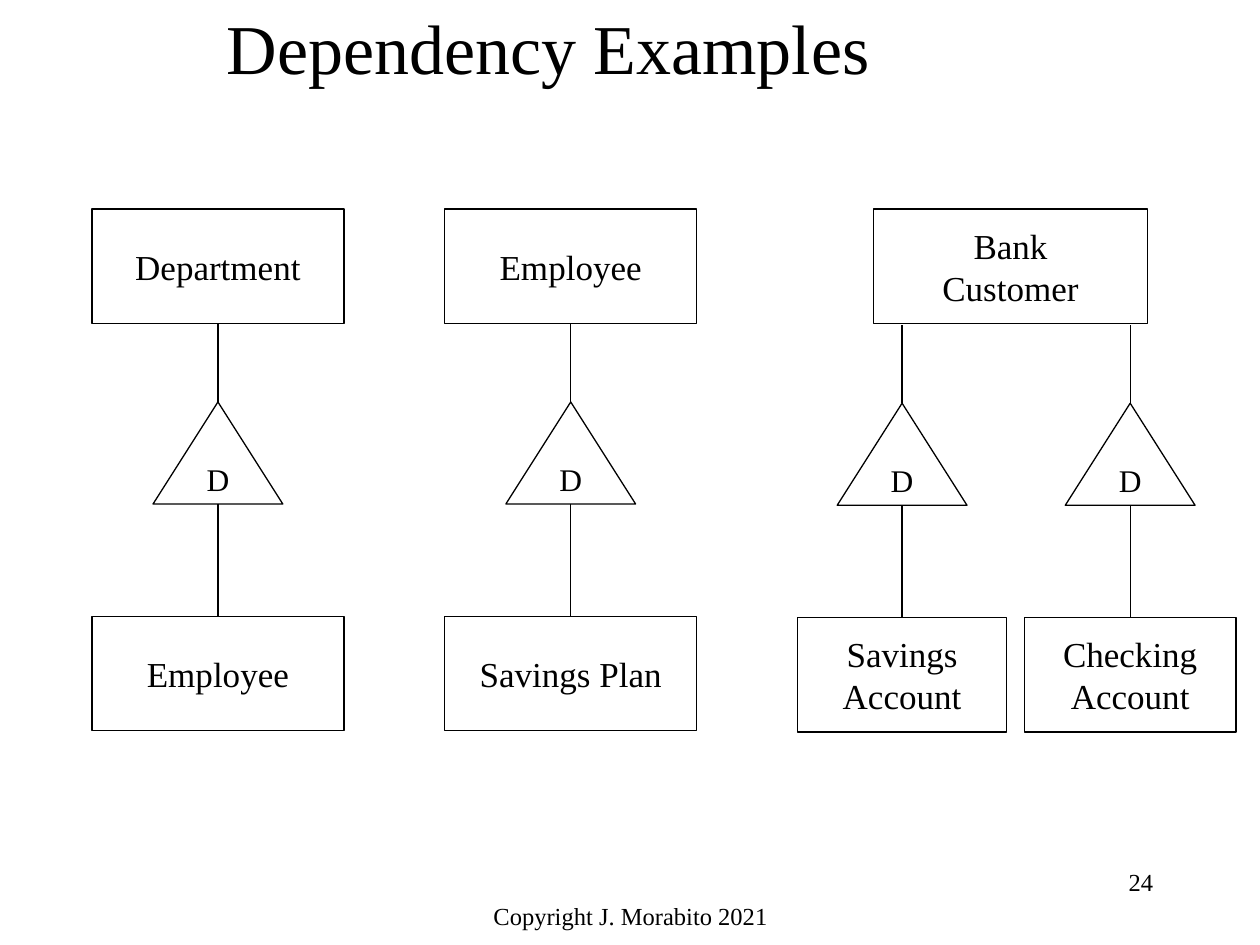
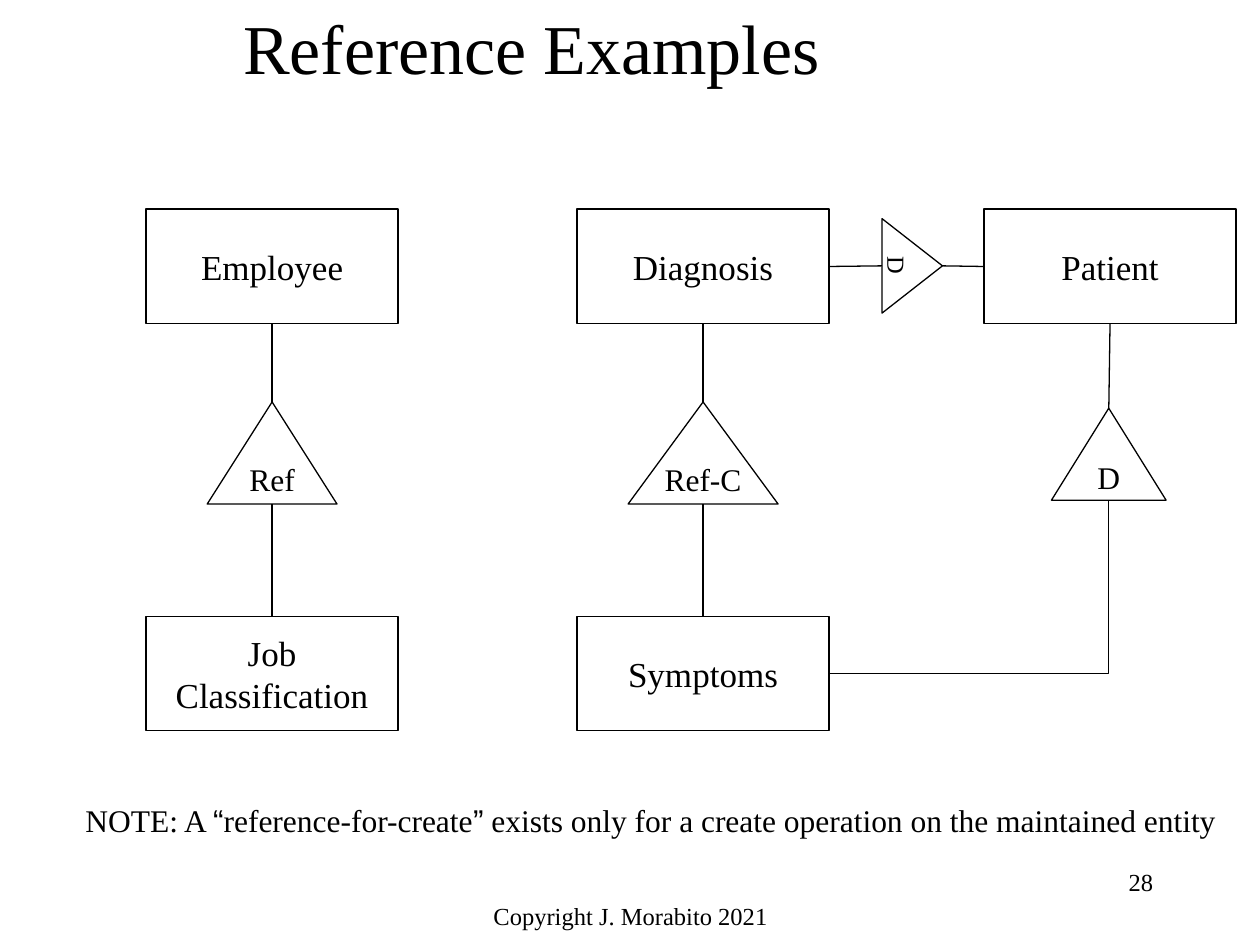
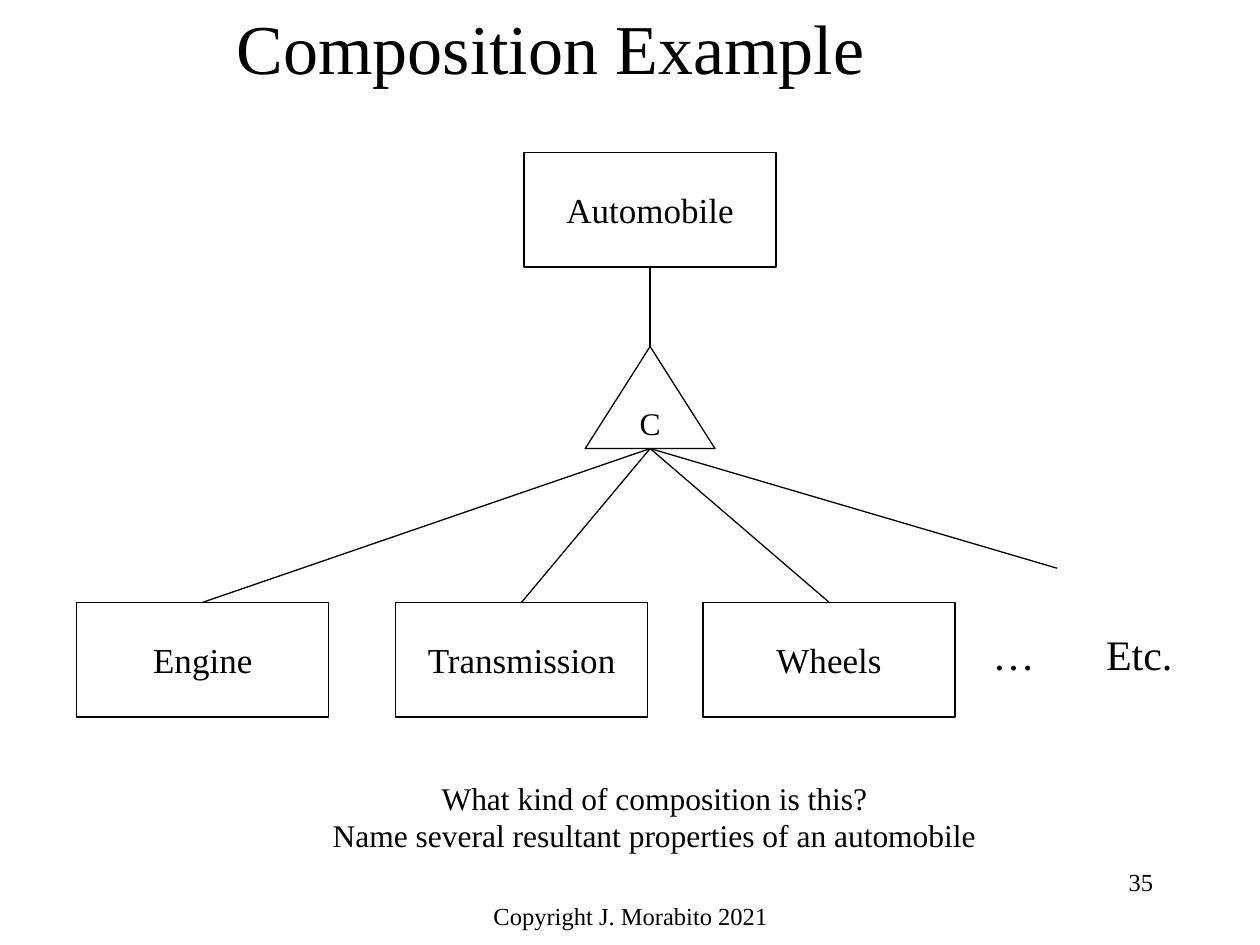
"""Builds three entity-relationship example slides: dependency, reference and composition."""
from dataclasses import dataclass
from itertools import groupby

from lxml.etree import SubElement
from pptx import Presentation
from pptx.dml.color import RGBColor
from pptx.enum.shapes import MSO_CONNECTOR, MSO_SHAPE
from pptx.enum.text import MSO_ANCHOR, MSO_AUTO_SIZE, PP_ALIGN
from pptx.oxml.ns import qn
from pptx.util import Inches, Pt


@dataclass(frozen=True)
class Theme:
    ink: RGBColor = RGBColor(0, 0, 0)
    font: str = "Times New Roman"
    quote_font: str = "Arial"
    title: int = 40
    etc: int = 24
    entity: int = 20
    body: int = 18
    small: int = 14
    line: float = 0.75


THEME = Theme()
ENTITY_HEIGHT = 0.91
TOP, BOTTOM, LEFT, RIGHT = 0, 2, 1, 3


def write(shape, text, size=THEME.body, align=PP_ALIGN.CENTER, anchor=MSO_ANCHOR.TOP, wrap=True, tab=None):
    frame = shape.text_frame
    frame.word_wrap = wrap
    frame.auto_size = MSO_AUTO_SIZE.NONE
    frame.vertical_anchor = anchor
    for index, line in enumerate(text.split("\n")):
        paragraph = frame.add_paragraph() if index else frame.paragraphs[0]
        paragraph.alignment = align
        if tab:
            stops = SubElement(paragraph._p.get_or_add_pPr(), qn("a:tabLst"))
            SubElement(stops, qn("a:tab"), pos=str(Inches(tab)), algn="l")
        for quoted, letters in groupby(line, key=lambda letter: letter in "“”"):
            run = paragraph.add_run()
            run.text = "".join(letters)
            run.font.name = THEME.quote_font if quoted else THEME.font
            run.font.size = Pt(size)
            run.font.color.rgb = THEME.ink


def link(slide, entities, end, point, elbow=False):
    kind = MSO_CONNECTOR.ELBOW if elbow else MSO_CONNECTOR.STRAIGHT
    joined = end[0] in entities
    start = (0, 0) if joined else end
    line = slide.shapes.add_connector(kind, *[Inches(value) for value in (*start, *point)])
    if joined:
        line.begin_connect(entities[end[0]], end[1])
    if elbow:
        line._element.spPr.find(qn("a:prstGeom")).set("prst", "bentConnector2")
    line.line.color.rgb = THEME.ink
    line.line.width = Pt(THEME.line)
    SubElement(line._element.spPr, qn("a:effectLst"))


SLIDES = [
    dict(
        title="Dependency Examples", title_span=(1.7, 5.84), number="24",
        entities={
            "department": ("Department", 0.73, 1.66, 2),
            "member": ("Employee", 0.73, 4.89, 2),
            "saver": ("Employee", 3.53, 1.66, 2),
            "plan": ("Savings Plan", 3.53, 4.89, 2),
            "customer": ("Bank\nCustomer", 6.93, 1.66, 2.18),
            "savings": ("Savings\nAccount", 6.33, 4.9, 1.66),
            "checking": ("Checking\nAccount", 8.13, 4.9, 1.68),
        },
        relations=[
            ("D", 1.73, 3.19, 1.03, 0.81, ("department", BOTTOM), [("member", TOP)]),
            ("D", 4.53, 3.19, 1.03, 0.81, ("saver", BOTTOM), [("plan", TOP)]),
            ("D", 7.16, 3.2, 1.03, 0.81, (7.16, 2.58), [("savings", TOP)]),
            ("D", 8.97, 3.2, 1.03, 0.81, (8.97, 2.58), [("checking", TOP)]),
        ],
        remarks=[],
    ),
    dict(
        title="Reference Examples", title_span=(1.83, 5.34), number="28",
        entities={
            "employee": ("Employee", 1.16, 1.66, 2),
            "job": ("Job\nClassification", 1.16, 4.89, 2),
            "diagnosis": ("Diagnosis", 4.58, 1.66, 2),
            "symptoms": ("Symptoms", 4.58, 4.89, 2),
            "patient": ("Patient", 7.81, 1.66, 2),
        },
        relations=[
            ("Ref", 2.16, 3.19, 1.03, 0.81, ("employee", BOTTOM), [("job", TOP)]),
            ("Ref-C", 5.58, 3.19, 1.19, 0.81, ("diagnosis", BOTTOM), [("symptoms", TOP)]),
            ("D", 7.24, 1.87, 0.75, 0.48, ("patient", LEFT), [("diagnosis", RIGHT)]),
            ("D", 8.8, 3.24, 0.91, 0.73, ("patient", BOTTOM), [("symptoms", RIGHT)]),
        ],
        remarks=[
            ("NOTE: A “reference-for-create” exists only for a create operation on the maintained entity",
             (0.58, 6.31, 9.21, 0.4), dict(align=PP_ALIGN.LEFT, wrap=False)),
        ],
    ),
    dict(
        title="Composition Example", title_span=(1.78, 5.35), number="35",
        entities={
            "automobile": ("Automobile", 4.16, 1.21, 2),
            "engine": ("Engine", 0.61, 4.78, 2),
            "transmission": ("Transmission", 3.14, 4.78, 2),
            "wheels": ("Wheels", 5.58, 4.78, 2),
        },
        relations=[
            ("C", 5.16, 2.75, 1.03, 0.81, ("automobile", BOTTOM),
             [("engine", TOP), ("transmission", TOP), ("wheels", TOP), (8.39, 4.51)]),
        ],
        remarks=[
            ("…\tEtc.", (7.78, 4.94, 1.8, 0.5), dict(size=THEME.etc, align=PP_ALIGN.LEFT, tab=0.9)),
            ("What kind of composition is this?\nName several resultant properties of an automobile",
             (2.54, 6.13, 5.31, 0.7), dict(wrap=False)),
        ],
    ),
]

deck = Presentation()
deck.slide_width, deck.slide_height = Inches(10), Inches(7.5)

for content in SLIDES:
    slide = deck.slides.add_slide(deck.slide_layouts[5])
    heading = slide.shapes.title
    left, width = content["title_span"]
    heading.left, heading.top = Inches(left), Inches(0.08)
    heading.width, heading.height = Inches(width), Inches(0.58)
    write(heading, content["title"], size=THEME.title, align=PP_ALIGN.LEFT, anchor=MSO_ANCHOR.MIDDLE)

    nodes = [(key, MSO_SHAPE.RECTANGLE, text, left, top, width, ENTITY_HEIGHT, 0, THEME.entity)
             for key, (text, left, top, width) in content["entities"].items()]
    for label, center, top, width, height, parent, children in content["relations"]:
        sideways = parent[1] == LEFT
        nodes.append((None, MSO_SHAPE.ISOSCELES_TRIANGLE, label, center - width / 2, top, width, height,
                      90 if sideways else 0, THEME.small if sideways else THEME.body))

    entities = {}
    for key, outline, text, left, top, width, height, rotation, size in nodes:
        node = slide.shapes.add_shape(outline, Inches(left), Inches(top), Inches(width), Inches(height))
        node.rotation = rotation
        node.shadow.inherit = False
        node.fill.background()
        node.line.color.rgb = THEME.ink
        node.line.width = Pt(THEME.line)
        write(node, text, size=size, anchor=MSO_ANCHOR.MIDDLE, wrap=False)
        if key:
            entities[key] = node

    for label, center, top, width, height, parent, children in content["relations"]:
        sideways = parent[1] == LEFT
        middle = top + height / 2
        apex = (center + height / 2, middle) if sideways else (center, top)
        base = (center - height / 2, middle) if sideways else (center, top + height)
        link(slide, entities, parent, apex)
        for child in children:
            link(slide, entities, child, base, elbow=child[1] == RIGHT and not sideways)

    footers = [
        ("Copyright J. Morabito 2021", (3.42, 7.1, 3.17, 0.36), dict(size=THEME.small)),
        (content["number"], (7.17, 6.83, 2.08, 0.5), dict(size=THEME.small, align=PP_ALIGN.RIGHT)),
    ]
    for text, place, style in content["remarks"] + footers:
        write(slide.shapes.add_textbox(*[Inches(value) for value in place]), text, **style)

deck.save("out.pptx")
